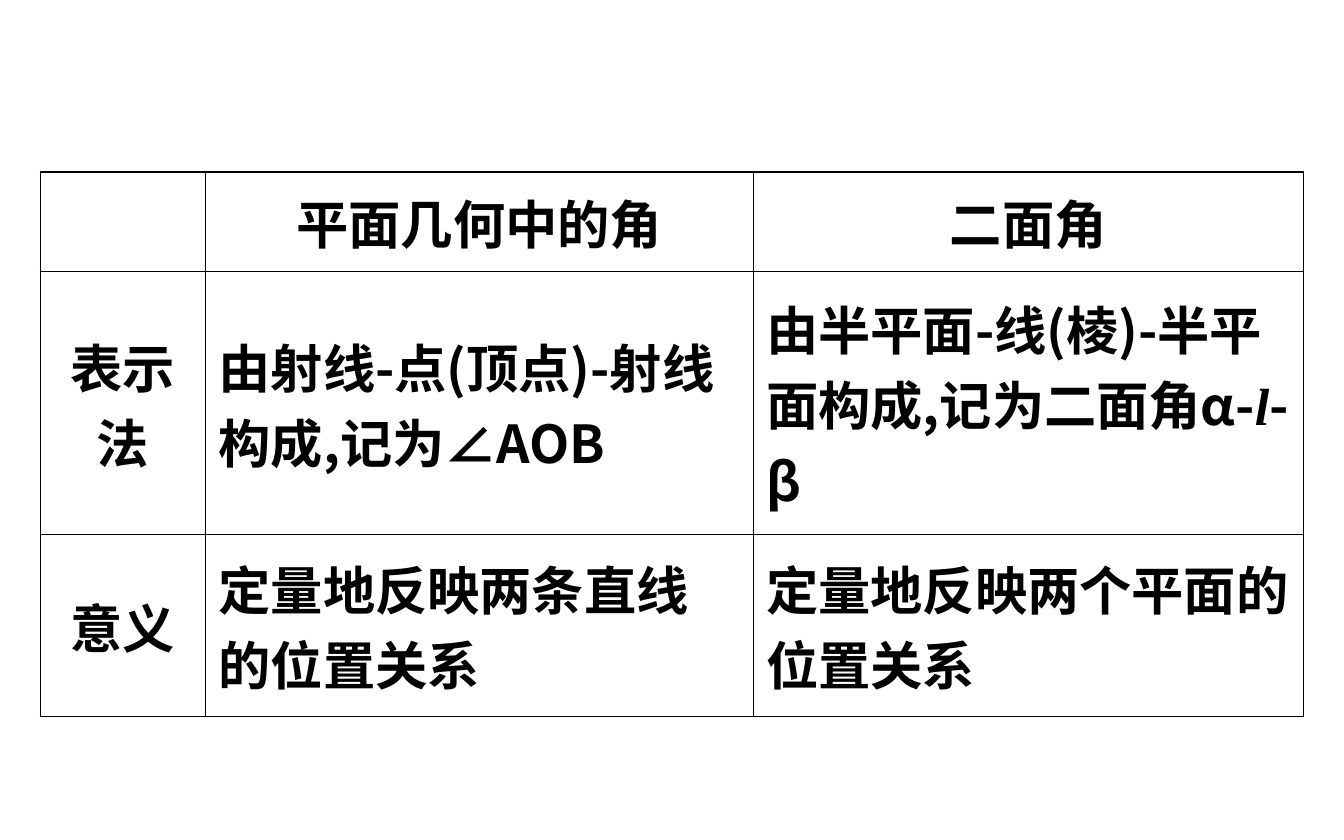
from dataclasses import dataclass

from lxml import etree
from pptx import Presentation
from pptx.dml.color import RGBColor
from pptx.enum.lang import MSO_LANGUAGE_ID
from pptx.enum.text import MSO_ANCHOR, PP_ALIGN
from pptx.oxml.ns import qn
from pptx.table import _Cell
from pptx.text.text import _Paragraph
from pptx.util import Cm, Pt

CENTER, LEFT = PP_ALIGN.CENTER, PP_ALIGN.LEFT
MIDDLE = MSO_ANCHOR.MIDDLE
CHINESE = MSO_LANGUAGE_ID.SIMPLIFIED_CHINESE

BLACK = "000000"
BODY_FONT, SYMBOL_FONT = "Noto Sans CJK SC", "Times New Roman"
OUTER_LINE, INNER_LINE = Pt(0.75), Pt(0.45)
COLUMN_WIDTHS = (3.12, 10.35, 10.4)
ROW_HEIGHTS = (1.88, 4.98, 3.43)


@dataclass(frozen=True)
class Piece:
    text: str
    font: str = BODY_FONT
    italic: bool = False


COMPARISON: list[list[list[Piece]]] = [
    [[], [Piece("平面几何中的角")], [Piece("二面角")]],
    [
        [Piece("表示法")],
        [Piece("由射线-点(顶点)-射线构成,记为∠AOB")],
        [Piece("由半平面-线(棱)-半平面构成,记为二面角α-"),
         Piece("l", SYMBOL_FONT, True), Piece("-β")],
    ],
    [
        [Piece("意义")],
        [Piece("定量地反映两条直线的位置关系")],
        [Piece("定量地反映两个平面的位置关系")],
    ],
]


def color(value: str) -> RGBColor:
    return RGBColor.from_string(value)


def add_piece(paragraph: _Paragraph, piece: Piece) -> None:
    run = paragraph.add_run()
    run.text = piece.text
    font_format = {"size": Pt(28), "bold": True, "italic": piece.italic,
                   "name": piece.font, "language_id": CHINESE}
    for attribute, value in font_format.items():
        setattr(run.font, attribute, value)
    run.font.color.rgb = color(BLACK)
    east_asian = etree.SubElement(run.font._element, qn("a:ea"))
    east_asian.set("typeface", piece.font)


def draw_borders(cell: _Cell, row: int, column: int) -> None:
    """Rule the outer edge of the table more heavily than the inside."""
    outer_sides = {
        "L": column == 0,
        "R": column == len(COLUMN_WIDTHS) - 1,
        "T": row == 0,
        "B": row == len(ROW_HEIGHTS) - 1,
    }
    properties = cell._tc.get_or_add_tcPr()
    for side, is_outer in outer_sides.items():
        line = etree.SubElement(properties, qn(f"a:ln{side}"))
        line.set("w", str(int(OUTER_LINE if is_outer else INNER_LINE)))
        fill = etree.SubElement(line, qn("a:solidFill"))
        etree.SubElement(fill, qn("a:srgbClr")).set("val", BLACK)


def fill_cell(cell: _Cell, row: int, column: int, pieces: list[Piece]) -> None:
    draw_borders(cell, row, column)
    cell.fill.background()
    cell.vertical_anchor = MIDDLE
    paragraph = cell.text_frame.paragraphs[0]
    paragraph.alignment = CENTER if row == 0 or column == 0 else LEFT
    for piece in pieces:
        add_piece(paragraph, piece)


def main() -> None:
    presentation = Presentation()
    presentation.slide_width, presentation.slide_height = Cm(25.4), Cm(15.88)
    slide = presentation.slides.add_slide(presentation.slide_layouts[6])

    # Comparison table
    table = slide.shapes.add_table(
        len(ROW_HEIGHTS), len(COLUMN_WIDTHS), Cm(0.76), Cm(3.25),
        Cm(sum(COLUMN_WIDTHS)), Cm(sum(ROW_HEIGHTS))).table
    table.first_row = table.horz_banding = False
    for column, width in zip(table.columns, COLUMN_WIDTHS):
        column.width = Cm(width)
    for row, height in zip(table.rows, ROW_HEIGHTS):
        row.height = Cm(height)

    # Cell contents
    for row_index, entries in enumerate(COMPARISON):
        for column_index, pieces in enumerate(entries):
            fill_cell(table.cell(row_index, column_index),
                      row_index, column_index, pieces)

    presentation.save("out.pptx")


if __name__ == "__main__":
    main()
